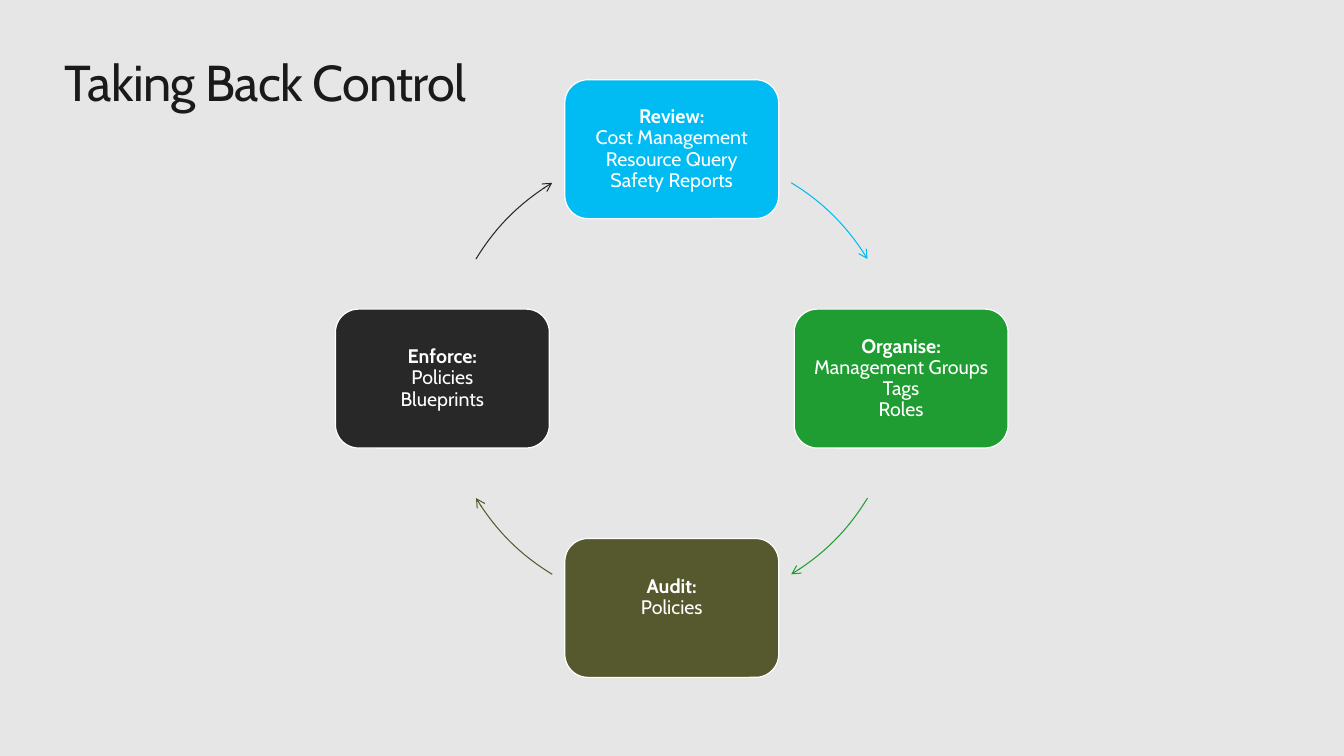
from math import cos, radians, sin

from lxml.etree import SubElement
from pptx import Presentation
from pptx.dml.color import RGBColor
from pptx.enum.shapes import MSO_SHAPE
from pptx.enum.text import MSO_ANCHOR, PP_ALIGN
from pptx.oxml.ns import qn
from pptx.util import Cm, Pt

FONT = "Cabin"
HEX = {"back": "E6E6E6", "title": "1A1A1A", "white": "FFFFFF", "blue": "00BCF2",
       "green": "1F9D32", "olive": "56592D", "dark": "282828"}

# Ring and card measures in cm
MID_X, MID_Y, RADIUS = 16.93, 9.54, 5.78
CARD_W, CARD_H = 5.39, 3.5
PAD, LINE = 0.32, 0.53
SWEEP = 13.6  # half the angle of an arrow

# Steps clockwise from the top: head, items, colour, extra bottom inset
STEPS = [
    ("Review:", ["Cost Management", "Resource Query", "Safety Reports"], "blue", 0),
    ("Organise:", ["Management Groups", "Tags", "Roles"], "green", 0),
    ("Audit:", ["Policies"], "olive", LINE),
    ("Enforce:", ["Policies", "Blueprints"], "dark", 0),
]


def color(name):
    return RGBColor.from_string(HEX[name])


def style(run, size, name, bold=False):
    font = run.font
    font.name, font.size, font.bold = FONT, Pt(size), bold
    font.color.rgb = color(name)


def add_title(slide, text):
    title = slide.shapes.title
    title.left, title.top, title.width, title.height = Cm(1.63), Cm(1.27), Cm(30.6), Cm(1.55)
    frame = title.text_frame
    frame.text = text
    frame.margin_left = frame.margin_right = frame.margin_top = frame.margin_bottom = 0
    frame.vertical_anchor = MSO_ANCHOR.MIDDLE
    para = frame.paragraphs[0]
    para.alignment = PP_ALIGN.LEFT
    run = para.runs[0]
    style(run, 36, "title")
    run.font._element.set("spc", "-50")


def add_card(slide, angle, head, items, fill, extra):
    x = MID_X + RADIUS * cos(radians(angle)) - CARD_W / 2
    y = MID_Y + RADIUS * sin(radians(angle)) - CARD_H / 2
    card = slide.shapes.add_shape(MSO_SHAPE.ROUNDED_RECTANGLE,
                                  Cm(x), Cm(y), Cm(CARD_W), Cm(CARD_H))
    card.shadow.inherit = False
    card.fill.solid()
    card.fill.fore_color.rgb = color(fill)
    card.line.color.rgb = color("white")
    card.line.width = Pt(0.85)

    frame = card.text_frame
    frame.word_wrap = True
    frame.vertical_anchor = MSO_ANCHOR.MIDDLE
    frame.margin_left = frame.margin_right = frame.margin_top = Cm(PAD)
    frame.margin_bottom = Cm(PAD + extra)
    para = frame.paragraphs[0]
    para.text = "\v".join([head] + items)
    para.alignment = PP_ALIGN.CENTER
    para.line_spacing = 0.9
    for i, run in enumerate(para.runs):
        style(run, 14, "white", bold=i == 0)
    # Line breaks take the text size too
    for gap in para._p.findall(qn("a:br")):
        SubElement(gap, qn("a:rPr"), sz="1400")


def add_arrow(slide, angle, name):
    arc = slide.shapes.add_shape(MSO_SHAPE.ARC, Cm(MID_X - RADIUS), Cm(MID_Y - RADIUS),
                                 Cm(2 * RADIUS), Cm(2 * RADIUS))
    arc.shadow.inherit = False
    # Arc angles are stored in 60000ths of a degree, adjustments in 100000ths
    for i, end in enumerate((angle - SWEEP, angle + SWEEP)):
        arc.adjustments[i] = end % 360 * 0.6
    arc.fill.background()
    arc.line.color.rgb = color(name)
    arc.line.width = Pt(0.75)
    SubElement(arc.line._get_or_add_ln(), qn("a:tailEnd"), type="arrow")


def main():
    deck = Presentation()
    deck.slide_width, deck.slide_height = Cm(33.87), Cm(19.05)
    slide = deck.slides.add_slide(deck.slide_layouts[5])
    slide.background.fill.solid()
    slide.background.fill.fore_color.rgb = color("back")

    add_title(slide, "Taking Back Control")

    # Cycle: each card is followed by its arrow
    for i, (head, items, fill, extra) in enumerate(STEPS):
        angle = 90 * i - 90
        add_card(slide, angle, head, items, fill, extra)
        add_arrow(slide, angle + 45, fill)

    deck.save("out.pptx")


if __name__ == "__main__":
    main()
